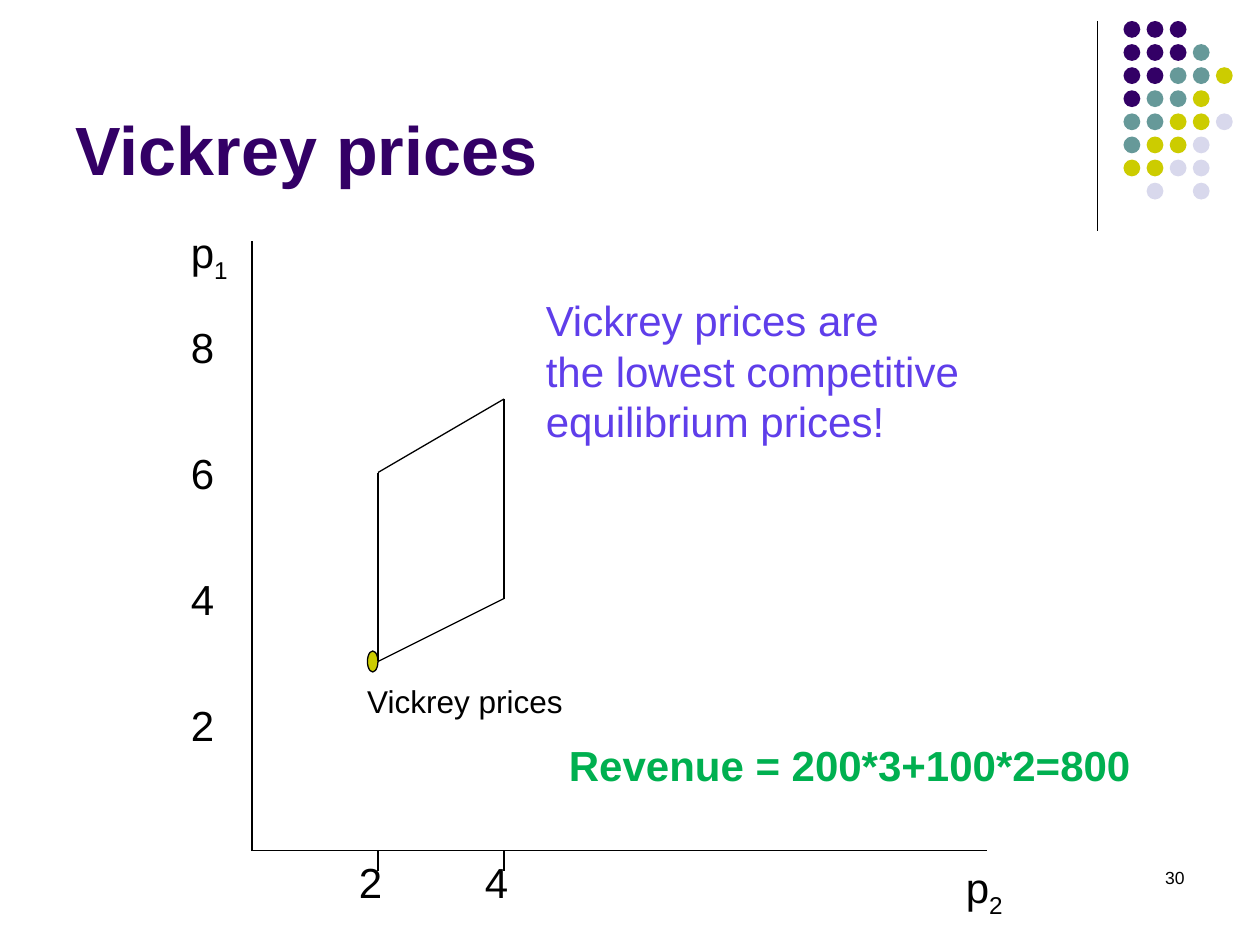
"""Build the Vickrey prices slide: a price region chart with labels and a dot ornament."""
from typing import NamedTuple

from lxml.etree import SubElement
from pptx import Presentation
from pptx.dml.color import RGBColor
from pptx.enum.shapes import MSO_CONNECTOR as Connector, MSO_SHAPE as Shape
from pptx.enum.text import MSO_ANCHOR as Anchor, MSO_AUTO_SIZE as AutoSize, PP_ALIGN as Align
from pptx.oxml.ns import qn
from pptx.util import Emu, Pt

PX = 914400 // 120
COLORS = {
    "black": "000000",
    "purple": "330066",
    "teal": "669999",
    "olive": "CCCC00",
    "pale": "D8D8EC",
    "violet": "5F3EEA",
    "green": "00B050",
}
DOT_COLORS = {"P": "purple", "T": "teal", "O": "olive", "L": "pale"}
DOT_ROWS = ["PPP", "PPPT", "PPTTO", "PTTO", "TTOOL", "TOOL", "OOLL", ".L.L"]
DOT_LEFT, DOT_TOP, DOT_SIZE, DOT_PITCH = 1070, 20, 16, 22

ORIGIN_X, ORIGIN_Y = 240, 810
UNIT = 60
TICK_VALUES = (2, 4)
PRICE_LEVELS = (8, 6, 4, 2)


class Box(NamedTuple):
    left: int
    top: int
    width: int
    height: int


class Point(NamedTuple):
    x: int
    y: int


def px(length: int) -> Emu:
    return Emu(length * PX)


def rgb(color: str) -> RGBColor:
    return RGBColor.from_string(COLORS[color])


def add_line(slide, start: Point, end: Point) -> None:
    line = slide.shapes.add_connector(Connector.STRAIGHT, *map(px, start + end))
    line.line.color.rgb = rgb("black")
    line.line.width = Pt(0.75)
    SubElement(line._element.spPr, qn("a:effectLst"))


def add_ellipse(slide, box: Box, color: str, outlined: bool = False) -> None:
    ellipse = slide.shapes.add_shape(Shape.OVAL, *map(px, box))
    ellipse.shadow.inherit = False
    ellipse.fill.solid()
    ellipse.fill.fore_color.rgb = rgb(color)
    if outlined:
        ellipse.line.color.rgb = rgb("black")
        ellipse.line.width = Pt(0.75)
    else:
        ellipse.line.fill.background()


def write_text(frame, text: str, *, size: int = 24, color: str = "black", bold: bool = False,
               align: Align = Align.LEFT, wrap: bool = False, subscript: str = "") -> None:
    frame.word_wrap = wrap
    frame.auto_size = AutoSize.NONE if wrap else AutoSize.SHAPE_TO_FIT_TEXT
    frame.text = text
    if subscript:
        run = frame.paragraphs[0].add_run()
        run.text = subscript
        run._r.get_or_add_rPr().set("baseline", "-25000")
    for paragraph in frame.paragraphs:
        paragraph.alignment = align
        for run in paragraph.runs:
            run.font.name = "Arial"
            run.font.size = Pt(size)
            run.font.bold = bold
            run.font.color.rgb = rgb(color)


def add_label(slide, box: Box, text: str, **style) -> None:
    write_text(slide.shapes.add_textbox(*map(px, box)).text_frame, text, **style)


def draw_ornament(slide) -> None:
    add_line(slide, Point(1045, 20), Point(1045, 220))
    for row, codes in enumerate(DOT_ROWS):
        for column, code in enumerate(codes):
            if code in DOT_COLORS:
                dot = Box(DOT_LEFT + column * DOT_PITCH, DOT_TOP + row * DOT_PITCH,
                          DOT_SIZE, DOT_SIZE)
                add_ellipse(slide, dot, DOT_COLORS[code])


def draw_title(slide) -> None:
    title = slide.shapes.title
    title.left, title.top, title.width, title.height = map(px, Box(60, 16, 990, 170))
    write_text(title.text_frame, "Vickrey prices", size=39, color="purple", bold=True, wrap=True)
    title.text_frame.vertical_anchor = Anchor.BOTTOM


def draw_axes(slide) -> None:
    origin = Point(ORIGIN_X, ORIGIN_Y)
    add_line(slide, Point(ORIGIN_X, 230), origin)
    add_line(slide, origin, Point(940, ORIGIN_Y))
    for value in TICK_VALUES:
        x = ORIGIN_X + value * UNIT
        add_line(slide, Point(x, ORIGIN_Y), Point(x, ORIGIN_Y + 20))
    for value in TICK_VALUES:
        add_label(slide, Box(ORIGIN_X + value * UNIT - 30, ORIGIN_Y, 47, 60), str(value))
    for level in PRICE_LEVELS:
        add_label(slide, Box(170, 780 - level * UNIT, 47, 60), str(level))
    add_label(slide, Box(170, 210, 61, 60), "p", subscript="1")
    add_label(slide, Box(908, 815, 61, 60), "p", subscript="2")


def draw_price_region(slide) -> None:
    corners = [Point(360, 630), Point(360, 450), Point(480, 380), Point(480, 570)]
    for start, end in zip(corners, corners[1:] + corners[:1]):
        add_line(slide, start, end)
    add_ellipse(slide, Box(350, 620, 10, 20), "olive", outlined=True)
    add_label(slide, Box(338, 644, 211, 48), "Vickrey prices", size=18)


def main() -> None:
    deck = Presentation()
    deck.slide_width, deck.slide_height = px(1200), px(900)
    slide = deck.slides.add_slide(deck.slide_layouts[5])
    draw_ornament(slide)
    draw_title(slide)
    draw_axes(slide)
    draw_price_region(slide)
    add_label(slide, Box(508, 275, 418, 156),
              "Vickrey prices are\nthe lowest competitive\nequilibrium prices!", color="violet")
    add_label(slide, Box(530, 698, 559, 60), "Revenue = 200*3+100*2=800",
              color="green", bold=True)
    add_label(slide, Box(860, 820, 280, 60), "30", size=10, align=Align.RIGHT, wrap=True)
    deck.save("out.pptx")


if __name__ == "__main__":
    main()
